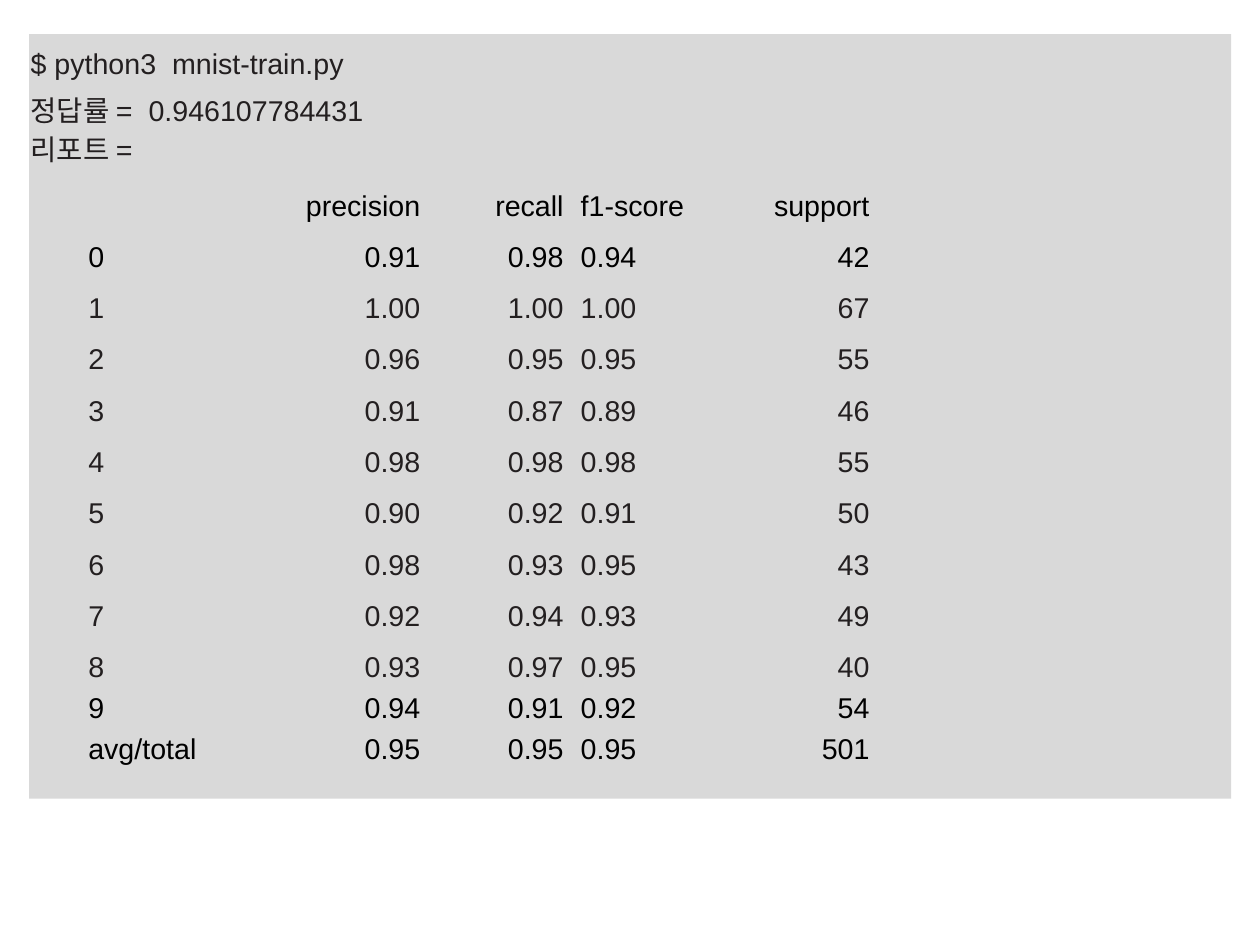
from dataclasses import dataclass

from pptx import Presentation
from pptx.dml.color import RGBColor
from pptx.enum.shapes import MSO_SHAPE
from pptx.enum.text import MSO_ANCHOR, PP_ALIGN
from pptx.util import Cm, Pt

RECTANGLE = MSO_SHAPE.RECTANGLE
TOP = MSO_ANCHOR.TOP
LEFT, RIGHT = PP_ALIGN.LEFT, PP_ALIGN.RIGHT
BLANK_LAYOUT = 6
PLAIN_TABLE_STYLE = "{2D5ABB26-0587-4C30-8999-92F81FD0307C}"


@dataclass(frozen=True)
class Theme:
    """Colours, font and type size of the slide."""
    panel: RGBColor = RGBColor(0xD9, 0xD9, 0xD9)
    ink: RGBColor = RGBColor(0x23, 0x1F, 0x20)
    black: RGBColor = RGBColor(0, 0, 0)
    font: str = "Arial"
    size: int = 18


THEME = Theme()

CONSOLE_LINES = [
    (("$ python3", "mnist-train.py"), 1.35, 0),
    (("정답률 =", "0.946107784431"), 1.35, 0),
    (("리포트 =",), 1, 3.4),
]

REPORT = [
    ("", "precision", "recall", "f1-score", "support"),
    ("0", "0.91", "0.98", "0.94", "42"),
    ("1", "1.00", "1.00", "1.00", "67"),
    ("2", "0.96", "0.95", "0.95", "55"),
    ("3", "0.91", "0.87", "0.89", "46"),
    ("4", "0.98", "0.98", "0.98", "55"),
    ("5", "0.90", "0.92", "0.91", "50"),
    ("6", "0.98", "0.93", "0.95", "43"),
    ("7", "0.92", "0.94", "0.93", "49"),
    ("8", "0.93", "0.97", "0.95", "40"),
    ("9", "0.94", "0.91", "0.92", "54"),
    ("avg/total", "0.95", "0.95", "0.95", "501"),
]

COLUMNS = [
    (2.97, LEFT, 0.05),
    (4.45, RIGHT, 0),
    (3.18, RIGHT, 0),
    (3.18, LEFT, 0.38),
    (3.61, RIGHT, 0),
]
ROW_HEIGHT, LAST_ROW_HEIGHT = 1.14, 0.91
INK_ROWS = range(2, 10)
LAST_ROWS = range(9, 12)


def write(para, text, color=THEME.ink, align=LEFT, before=0, line=1, tracking=0):
    """Add a formatted span of text to a paragraph."""
    para.alignment = align
    para.space_before = Pt(before)
    para.line_spacing = line
    span = para.add_run()
    span.text = text
    span.font.name = THEME.font
    span.font.size = Pt(THEME.size)
    span.font.color.rgb = color
    if tracking:
        span.font._element.set("spc", str(tracking * 100))


def set_margins(frame, left, top):
    """Set the left and top insets and clear the others."""
    frame.margin_left, frame.margin_top = Cm(left), Cm(top)
    frame.margin_right = frame.margin_bottom = 0


def add_console(page, left, top, width, height):
    """Draw the grey panel with the command and its first output."""
    panel = page.shapes.add_shape(RECTANGLE, Cm(left), Cm(top), Cm(width), Cm(height))
    panel.shadow.inherit = False
    panel.fill.solid()
    panel.fill.fore_color.rgb = THEME.panel
    panel.line.fill.background()
    frame = panel.text_frame
    frame.word_wrap = True
    frame.vertical_anchor = TOP
    set_margins(frame, 0.03, 0)
    for index, (parts, line, before) in enumerate(CONSOLE_LINES):
        para = frame.add_paragraph() if index else frame.paragraphs[0]
        for number, part in enumerate(parts):
            if number:
                write(para, " ", line=line, before=before, tracking=5)
            write(para, part, line=line, before=before)


def add_report(page, left, top):
    """Draw the classification report as a table."""
    width = sum(column[0] for column in COLUMNS)
    heights = [LAST_ROW_HEIGHT if row in LAST_ROWS else ROW_HEIGHT
               for row in range(len(REPORT))]
    table = page.shapes.add_table(len(REPORT), len(COLUMNS), Cm(left), Cm(top),
                                  Cm(width), Cm(sum(heights))).table
    table.first_row = table.horz_banding = False
    table._tbl.tblPr[0].text = PLAIN_TABLE_STYLE
    for column, (column_width, _, _) in zip(table.columns, COLUMNS):
        column.width = Cm(column_width)
    for row_index, (values, height) in enumerate(zip(REPORT, heights)):
        table.rows[row_index].height = Cm(height)
        color = THEME.ink if row_index in INK_ROWS else THEME.black
        for column_index, (value, (_, align, indent)) in enumerate(zip(values, COLUMNS)):
            cell = table.cell(row_index, column_index)
            cell.fill.solid()
            cell.fill.fore_color.rgb = THEME.panel
            set_margins(cell, indent, 0.08)
            if value:
                write(cell.text_frame.paragraphs[0], value, color=color,
                      align=align, before=0.9)


def main():
    """Build the slide and save the deck."""
    deck = Presentation()
    deck.slide_width, deck.slide_height = Cm(27.97), Cm(20.98)
    page = deck.slides.add_slide(deck.slide_layouts[BLANK_LAYOUT])
    left, top = 0.65, 0.76
    add_console(page, left, top, 26.68, 16.97)
    add_report(page, left + 1.26, top + 3.38)
    deck.save("out.pptx")


if __name__ == "__main__":
    main()
